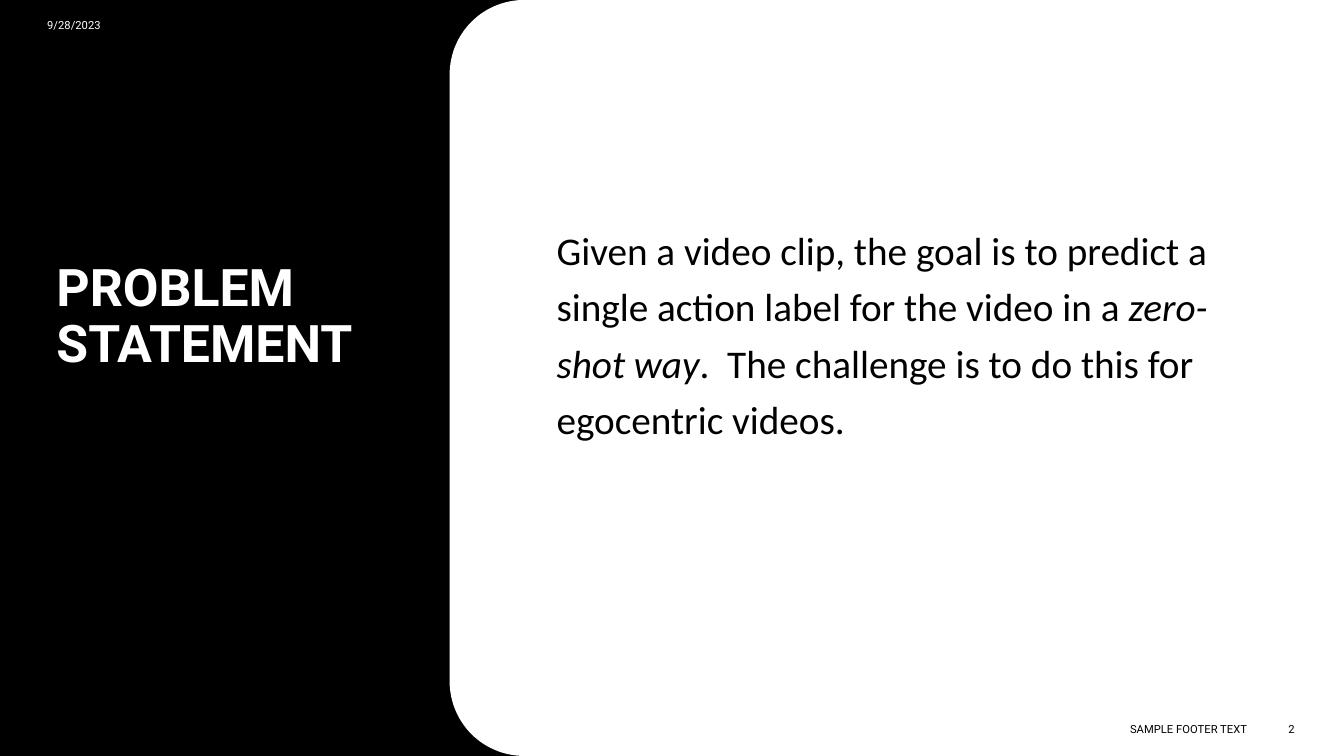
from dataclasses import dataclass
from math import cos, radians, sin

from lxml import etree
from pptx import Presentation
from pptx.dml.color import RGBColor
from pptx.enum.shapes import MSO_SHAPE
from pptx.enum.text import MSO_ANCHOR, MSO_AUTO_SIZE, PP_ALIGN
from pptx.oxml.ns import qn
from pptx.shapes.base import BaseShape
from pptx.slide import Slide
from pptx.util import Inches, Pt

BLACK = RGBColor(0x00, 0x00, 0x00)
WHITE = RGBColor(0xFF, 0xFF, 0xFF)
RECTANGLE = MSO_SHAPE.RECTANGLE
TOP, MIDDLE, BOTTOM = MSO_ANCHOR.TOP, MSO_ANCHOR.MIDDLE, MSO_ANCHOR.BOTTOM
LEFT, RIGHT = PP_ALIGN.LEFT, PP_ALIGN.RIGHT
NO_AUTOFIT = MSO_AUTO_SIZE.NONE

SLIDE_WIDTH, SLIDE_HEIGHT = 13.33, 7.5
PANEL_LEFT, CORNER_RADIUS = 4.46, 0.74


@dataclass(frozen=True)
class Box:
    left: float
    top: float
    width: float
    height: float


@dataclass(frozen=True)
class SmallLabel:
    text: str
    box: Box
    color: RGBColor
    alignment: PP_ALIGN


LABELS = [
    SmallLabel("9/28/2023", Box(0.37, 0.07, 3, 0.35), WHITE, LEFT),
    SmallLabel("SAMPLE FOOTER TEXT", Box(8.03, 7.03, 4.44, 0.4), BLACK, RIGHT),
    SmallLabel("2", Box(12.47, 7.03, 0.47, 0.4), BLACK, RIGHT),
]
STATEMENT = [
    ("Given a video clip, the goal is to predict a single action label for the video in a ", False),
    ("zero-shot way", True),
    (".  The challenge is to do this for egocentric videos.", False),
]


def place(shape: BaseShape, box: Box) -> None:
    shape.left, shape.top = Inches(box.left), Inches(box.top)
    shape.width, shape.height = Inches(box.width), Inches(box.height)


def paint(shape: BaseShape, color: RGBColor) -> None:
    shape.shadow.inherit = False
    shape.fill.solid()
    shape.fill.fore_color.rgb = color
    shape.line.fill.background()


def format_text(shape: BaseShape, anchor: MSO_ANCHOR, alignment: PP_ALIGN,
                font_name: str, size: float, color: RGBColor) -> None:
    frame = shape.text_frame
    frame.word_wrap = True
    frame.auto_size = NO_AUTOFIT
    frame.vertical_anchor = anchor
    paragraph = frame.paragraphs[0]
    paragraph.alignment = alignment
    paragraph.font.name = font_name
    paragraph.font.size = Pt(size)
    paragraph.font.color.rgb = color


def corner(center_y: float, start: int) -> list[tuple[float, float]]:
    center_x = PANEL_LEFT + CORNER_RADIUS
    return [
        (center_x + CORNER_RADIUS * cos(radians(angle)),
         center_y + CORNER_RADIUS * sin(radians(angle)))
        for angle in range(start, start + 91, 3)
    ]


def add_panel(slide: Slide) -> None:
    outline = [(SLIDE_WIDTH, SLIDE_HEIGHT)]
    outline += corner(SLIDE_HEIGHT - CORNER_RADIUS, 90)
    outline += corner(CORNER_RADIUS, 180)
    builder = slide.shapes.build_freeform(Inches(SLIDE_WIDTH), 0)
    builder.add_line_segments([(Inches(x), Inches(y)) for x, y in outline], close=True)
    paint(builder.convert_to_shape(), WHITE)


def add_label(slide: Slide, label: SmallLabel) -> None:
    shape = slide.shapes.add_textbox(0, 0, 0, 0)
    place(shape, label.box)
    shape.text_frame.text = label.text
    format_text(shape, MIDDLE, label.alignment, "Roboto", 8, label.color)
    shape.text_frame.paragraphs[0].space_after = Pt(6)


def fill_title(title: BaseShape) -> None:
    place(title, Box(0.46, 2.36, 3.53, 1.4))
    title.text_frame.text = "PROBLEM STATEMENT"
    format_text(title, BOTTOM, LEFT, "Roboto", 37, WHITE)
    paragraph = title.text_frame.paragraphs[0]
    paragraph.font.bold = True
    paragraph.line_spacing = 0.9


def fill_body(body: BaseShape) -> None:
    place(body, Box(5.42, 2.1, 6.95, 2.55))
    paragraph = body.text_frame.paragraphs[0]
    for text, italic in STATEMENT:
        run = paragraph.add_run()
        run.text = text
        run.font.italic = italic
    format_text(body, TOP, LEFT, "Calibri", 28, BLACK)
    paragraph.line_spacing = 1.2
    paragraph.space_before = Pt(10)
    properties = paragraph._p.get_or_add_pPr()
    properties.set("marL", "0")
    properties.set("indent", "0")
    bullet = etree.Element(qn("a:buNone"))
    properties.find(qn("a:defRPr")).addprevious(bullet)


def main() -> None:
    presentation = Presentation()
    presentation.slide_width = Inches(SLIDE_WIDTH)
    presentation.slide_height = Inches(SLIDE_HEIGHT)
    slide = presentation.slides.add_slide(presentation.slide_layouts[1])
    slide.background.fill.solid()
    slide.background.fill.fore_color.rgb = BLACK

    title, body = slide.placeholders
    backdrop = slide.shapes.add_shape(
        RECTANGLE, 0, 0, presentation.slide_width, presentation.slide_height)
    paint(backdrop, BLACK)
    add_panel(slide)
    for placeholder in (title, body):
        slide.shapes._spTree.append(placeholder._element)
    fill_title(title)
    fill_body(body)
    for label in LABELS:
        add_label(slide, label)
    presentation.save("out.pptx")


if __name__ == "__main__":
    main()
